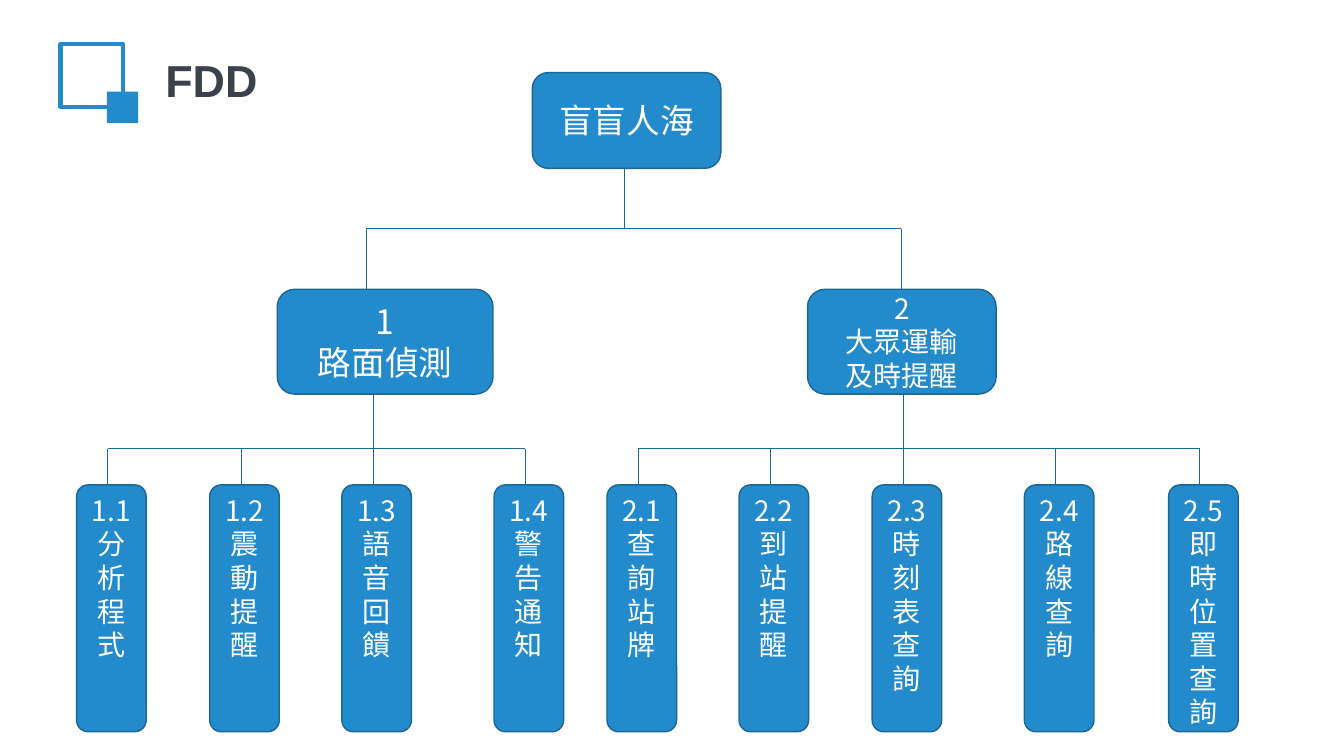
from lxml import etree
from pptx import Presentation, util as u
from pptx.dml.color import RGBColor
from pptx.enum import shapes, text
from pptx.oxml import ns

PX = 9144  # 100 px to the inch
BLUE, EDGE, WIRE = "238ACB", "1A6696", "1A6798"
WHITE, DARK = "FFFFFF", "3B424B"
CJK = "Noto Sans CJK SC"
KIND = shapes.MSO_SHAPE

STEMS = [  # x, top, bar, foot, drops
    (619, 164, 227, 291, [363, 894]),
    (370, 391, 445, 481, [107, 239, 370, 521]),
    (896, 391, 445, 481, [633, 764, 896, 1047, 1190]),
]
HEADS = [  # place, size, lines
    ((528, 72, 187, 95), 24, ["盲盲人海"]),
    ((275, 287, 214, 104), 24, ["1", "路面偵測"]),
    ((801, 287, 187, 104), 20, ["2", "大眾運輸", "及時提醒"]),
]
LEAVES = [
    ["分析程式", "震動提醒", "語音回饋", "警告通知"],
    ["查詢站牌", "到站提醒", "時刻表查詢", "路線查詢", "即時位置查詢"],
]


def emu(*vals):
    return [u.Emu(v * PX) for v in vals]


def tint(color, code):
    color.rgb = RGBColor.from_string(code)


def add_run(para, words, size, font, code, bold=False):
    run = para.add_run()
    run.text = words
    run.font.size = u.Pt(size)
    run.font.name = font
    run.font.bold = bold
    tint(run.font.color, code)
    east = etree.SubElement(run.font._element, ns.qn("a:ea"))
    east.set("typeface", font)


def add_shape(slide, kind, place, fill=None, line=None, width=1):
    shape = slide.shapes.add_shape(kind, *emu(*place))
    shape.shadow.inherit = False
    if fill:
        shape.fill.solid()
        tint(shape.fill.fore_color, fill)
    else:
        shape.fill.background()
    if line:
        tint(shape.line.color, line)
        shape.line.width = u.Pt(width)
    else:
        shape.line.fill.background()
    return shape


def add_box(slide, place, size, lines, anchor=text.MSO_ANCHOR.MIDDLE):
    box = add_shape(slide, KIND.ROUNDED_RECTANGLE, place, BLUE, EDGE)
    frame = box.text_frame
    frame.word_wrap = True
    frame.vertical_anchor = anchor
    frame.margin_left = frame.margin_right = u.Emu(10 * PX)
    frame.margin_top = frame.margin_bottom = u.Emu(5 * PX)
    for i, words in enumerate(lines):
        para = frame.add_paragraph() if i else frame.paragraphs[0]
        para.alignment = text.PP_ALIGN.CENTER
        add_run(para, words, size, CJK, WHITE)


def add_line(slide, *ends):
    line = slide.shapes.add_connector(shapes.MSO_CONNECTOR.STRAIGHT, *emu(*ends))
    tint(line.line.color, WIRE)
    line.line.width = u.Pt(0.5)
    etree.SubElement(line._element.spPr, ns.qn("a:effectLst"))


def add_stem(slide, x, top, bar, foot, drops):
    """Join a parent box to its children through a level bar."""
    add_line(slide, x, top, x, bar)
    add_line(slide, drops[0], bar, drops[-1], bar)
    for drop in drops:
        add_line(slide, drop, bar, drop, foot)


def add_title(slide, words):
    title = slide.shapes.title
    title.left, title.top, title.width, title.height = emu(154, 47, 112, 64)
    frame = title.text_frame
    frame.word_wrap = False
    frame.auto_size = text.MSO_AUTO_SIZE.NONE
    frame.vertical_anchor = text.MSO_ANCHOR.MIDDLE
    para = frame.paragraphs[0]
    para.alignment = text.PP_ALIGN.LEFT
    add_run(para, words, 32, "Arial", DARK, True)


def main():
    deck = Presentation()
    deck.slide_width, deck.slide_height = emu(1333, 750)
    slide = deck.slides.add_slide(deck.slide_layouts[5])
    add_title(slide, "FDD")
    add_shape(slide, KIND.RECTANGLE, (60, 44, 62, 62), line=BLUE, width=3)
    add_shape(slide, KIND.RECTANGLE, (106, 91, 31, 31), BLUE)
    for stem in STEMS:
        add_stem(slide, *stem)
    for head in HEADS:
        add_box(slide, *head)
    for group, (stem, names) in enumerate(zip(STEMS[1:], LEAVES), 1):
        for i, (drop, name) in enumerate(zip(stem[-1], names), 1):
            add_box(slide, (drop - 31, 481, 69, 245), 20,
                    [f"{group}.{i}", name], text.MSO_ANCHOR.TOP)
    deck.save("out.pptx")


if __name__ == "__main__":
    main()
